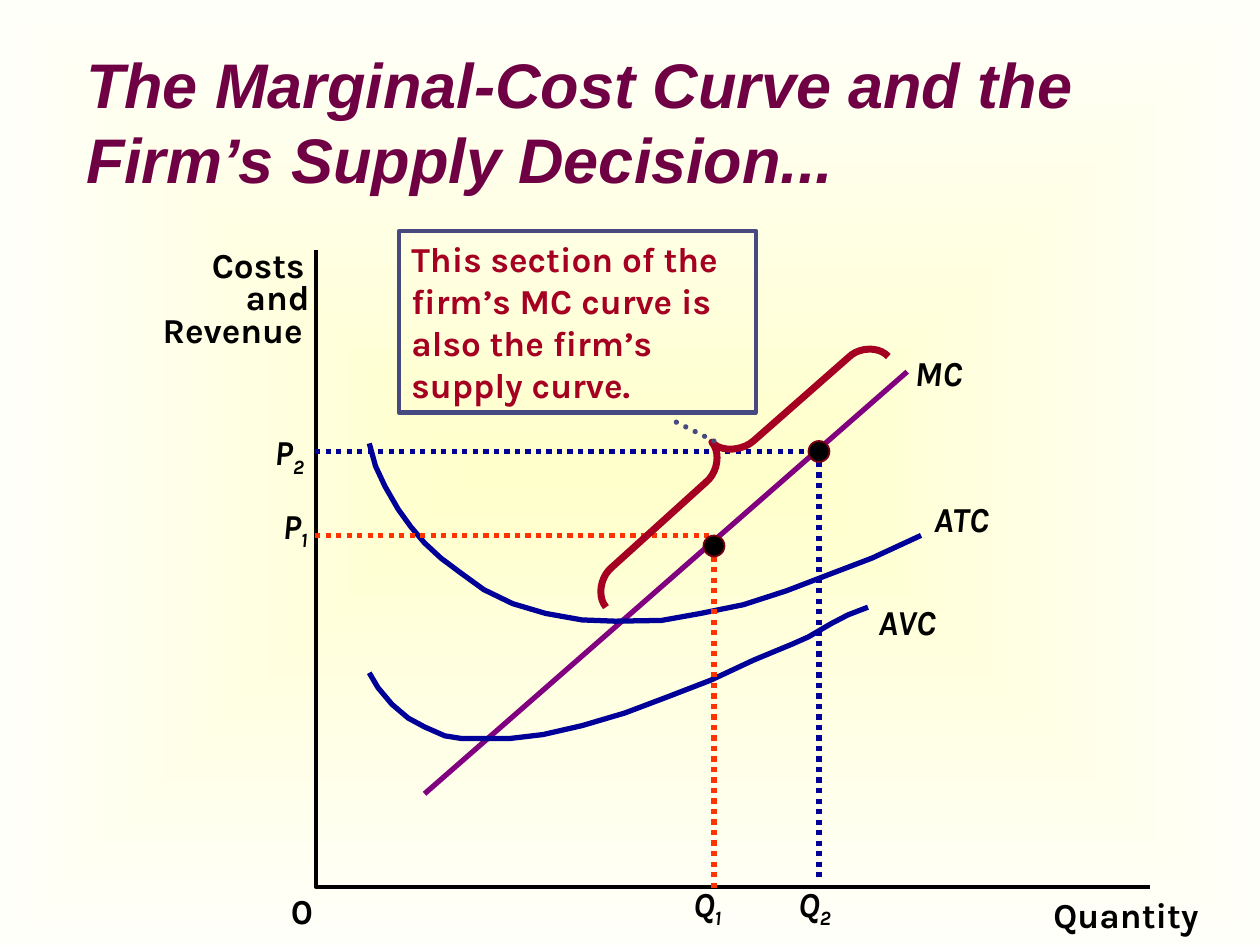
from lxml import etree
from pptx import Presentation
from pptx.dml.color import RGBColor
from pptx.enum.dml import MSO_LINE
from pptx.enum.shapes import MSO_CONNECTOR, MSO_SHAPE
from pptx.enum.text import MSO_ANCHOR, MSO_AUTO_SIZE, PP_ALIGN
from pptx.oxml.ns import qn
from pptx.util import Pt

STRAIGHT = MSO_CONNECTOR.STRAIGHT
OVAL, RECTANGLE = MSO_SHAPE.OVAL, MSO_SHAPE.RECTANGLE
LEFT, RIGHT = PP_ALIGN.LEFT, PP_ALIGN.RIGHT
MIDDLE, TOP = MSO_ANCHOR.MIDDLE, MSO_ANCHOR.TOP
NO_FIT, GROW = MSO_AUTO_SIZE.NONE, MSO_AUTO_SIZE.SHAPE_TO_FIT_TEXT
DOTTED = MSO_LINE.ROUND_DOT

BLACK = RGBColor(0x00, 0x00, 0x00)
PLUM = RGBColor(0x6E, 0x00, 0x43)
PURPLE = RGBColor(0x80, 0x00, 0x80)
NAVY = RGBColor(0x00, 0x00, 0x99)
ORANGE = RGBColor(0xFF, 0x33, 0x00)
CRIMSON = RGBColor(0xA5, 0x00, 0x21)
MAROON = RGBColor(0x79, 0x00, 0x15)
SLATE = RGBColor(0x47, 0x4A, 0x81)
YELLOW = RGBColor(0xFF, 0xFF, 0xCC)
IVORY = RGBColor(0xFF, 0xFF, 0xFA)

ATC_POINTS = [
    (211, 253.4), (214.6, 266.4), (220, 278), (227.5, 291), (234.7, 301),
    (242.6, 310.3), (252, 319), (263.5, 327.6), (276.5, 337), (293, 345),
    (311.8, 350.6), (332.6, 354.3), (351.4, 355), (378, 354.6),
    (400.3, 350.6), (424.8, 345.6), (449.3, 337.7), (473.8, 328.3),
    (498.2, 319), (526.3, 306)]
AVC_POINTS = [
    (211, 384.5), (216, 393), (224, 402.5), (233.3, 410.4), (242.6, 415.4),
    (254.2, 420.5), (263.5, 422), (291.6, 422), (310.3, 419.8),
    (332.6, 414.7), (357, 407.5), (381.6, 398.2), (406, 388.8),
    (430.6, 377.3), (453, 368), (462, 364), (475, 356.4), (484.6, 351.4),
    (496, 347)]
AXES = [(180.7, 142.6), (180.7, 506.9), (657.4, 506.9)]
BRACE_BENDS = [
    [(507.6, 203.8), (502.6, 198), (491, 198), (484.6, 204.5)],
    [(430.6, 252), (424, 257.8), (411.8, 258.5), (406.8, 252.7)],
    [(406.8, 252.7), (411.8, 258.5), (410.4, 270), (403.2, 275.8)],
    [(349.9, 324), (342.7, 329.8), (341.3, 341.3), (346.3, 347)]]

# text, left, top, width, italic
LABELS = [
    ("Quantity", 602, 510.5, 89, False), ("0", 166.3, 508.3, 11.5, False),
    ("Costs", 121, 139, 54, False), ("and", 140.4, 157.7, 38, False),
    ("Revenue", 92.9, 176.4, 86.4, False), ("MC", 522.7, 200.9, 30, True),
    ("ATC", 533.5, 284.4, 35, True), ("AVC", 501.8, 343.4, 37, True)]
# letter, subscript, left, top, width, alignment
INDEXED_LABELS = [
    ("Q", "1", 396, 504, 44.6, LEFT), ("Q", "2", 456, 504, 44.6, LEFT),
    ("P", "1", 151.9, 288, 23.8, RIGHT), ("P", "2", 131.8, 246.2, 41.8, RIGHT)]
# quantity, price, foot of the vertical guide, centre of the dot, colour
GUIDES = [(408, 306, 510, 312, ORANGE), (468, 258, 504, 258, NAVY)]


def set_format(target, values):
    """Set each attribute named in a dict of format values."""
    for name, value in values.items():
        setattr(target, name, value)


def bend(points, steps=10):
    """Return points along a cubic curve with four control points."""
    weights = [((1 - t) ** 3, 3 * t * (1 - t) ** 2, 3 * t * t * (1 - t), t ** 3)
               for t in (step / steps for step in range(steps + 1))]
    return [tuple(sum(w * point[axis] for w, point in zip(row, points))
                  for axis in (0, 1)) for row in weights]


class CostSlide:
    """Holds the style and the current slide."""

    label_font = {"name": "Karla", "size": Pt(20), "bold": True}
    title_font = {"name": "Arial", "size": Pt(36), "bold": True, "italic": True}

    def __init__(self, presentation):
        """Add a title-only slide."""
        self.slide = presentation.slides.add_slide(presentation.slide_layouts[5])
        self.shapes = self.slide.shapes

    def background(self, inner, outer):
        """Fill the background with a gradient spreading from the centre."""
        fill = self.slide.background.fill
        fill.gradient()
        for stop, color, position in zip(fill.gradient_stops, (inner, outer), (0, 1)):
            stop.color.rgb = color
            stop.position = position
        gradient = self.slide.element.find(".//" + qn("a:gradFill"))
        linear = gradient.find(qn("a:lin"))
        if linear is not None:
            gradient.remove(linear)
        spread = etree.SubElement(gradient, qn("a:path"), {"path": "rect"})
        etree.SubElement(spread, qn("a:fillToRect"),
                         dict.fromkeys("ltrb", "50000"))

    def put_text(self, shape, text, font, color, italic=False, subscript="",
                 alignment=LEFT, margins=(0, 0), **frame_format):
        """Put one paragraph, with an optional subscript, into a shape."""
        frame = shape.text_frame
        across, down = (Pt(margin) for margin in margins)
        set_format(frame, {"margin_left": across, "margin_right": across,
                           "margin_top": down, "margin_bottom": down,
                           "vertical_anchor": TOP, **frame_format})
        paragraph = frame.paragraphs[0]
        paragraph.alignment = alignment
        for part in filter(None, (text, subscript)):
            run = paragraph.add_run()
            run.text = part
            set_format(run.font, {"italic": italic, **font})
            run.font.color.rgb = color
        if subscript:
            run.font._element.set("baseline", "-25000")

    def title(self, text, left, top, width, height):
        """Place and fill the title placeholder."""
        title = self.shapes.title
        set_format(title, {"left": Pt(left), "top": Pt(top),
                           "width": Pt(width), "height": Pt(height)})
        self.put_text(title, text, self.title_font, PLUM, margins=(7.2, 3.6),
                      vertical_anchor=MIDDLE, word_wrap=True, auto_size=NO_FIT)

    def label(self, text, left, top, width, height=24, wrap=False, **style):
        """Add a text box in the label style."""
        box = self.shapes.add_textbox(Pt(left), Pt(top), Pt(width), Pt(height))
        self.put_text(box, text, self.label_font, BLACK, word_wrap=wrap,
                      auto_size=GROW, **style)

    def outline(self, shape, color, width):
        """Set the line of a shape."""
        shape.line.color.rgb = color
        shape.line.width = Pt(width)

    def line(self, start, end, color, dash=None, round_cap=False):
        """Add a straight line."""
        line = self.shapes.add_connector(STRAIGHT, *map(Pt, start + end))
        self.outline(line, color, 3)
        if dash:
            line.line.dash_style = dash
        properties = line._element.spPr
        if round_cap:
            properties.find(qn("a:ln")).set("cap", "rnd")
        etree.SubElement(properties, qn("a:effectLst"))

    def curve(self, points, color, width):
        """Add an open outline through the points."""
        first, *others = [(Pt(x), Pt(y)) for x, y in points]
        builder = self.shapes.build_freeform(*first)
        builder.add_line_segments(others, close=False)
        shape = builder.convert_to_shape()
        shape.shadow.inherit = False
        shape.fill.background()
        self.outline(shape, color, width)

    def dot(self, x, y, size=12):
        """Add a dot centred on a point."""
        dot = self.shapes.add_shape(OVAL, Pt(x - size / 2), Pt(y - size / 2),
                                    Pt(size), Pt(size))
        dot.shadow.inherit = False
        dot.fill.solid()
        dot.fill.fore_color.rgb = BLACK
        self.outline(dot, MAROON, 1)

    def callout(self, text, left, top, width, height):
        """Add a framed remark."""
        box = self.shapes.add_shape(RECTANGLE, Pt(left), Pt(top),
                                    Pt(width), Pt(height))
        box.shadow.inherit = False
        box.fill.background()
        self.outline(box, SLATE, 2.5)
        self.put_text(box, text, self.label_font, CRIMSON, margins=(7.2, 3.6),
                      word_wrap=True, auto_size=GROW)


def main():
    """Build and save the slide."""
    presentation = Presentation()
    set_format(presentation, {"slide_width": Pt(720), "slide_height": Pt(540)})
    page = CostSlide(presentation)
    page.background(YELLOW, IVORY)
    page.line((242.6, 453.6), (518.4, 212.4), PURPLE)
    page.title("The Marginal-Cost Curve and the Firm\u2019s Supply Decision...",
               42, 24, 612, 90)
    for text, left, top, width, italic in LABELS:
        page.label(text, left, top, width, italic=italic)
    page.curve(ATC_POINTS, NAVY, 3)
    page.curve(AVC_POINTS, NAVY, 3)
    page.curve(AXES, BLACK, 2.25)
    for letter, subscript, left, top, width, alignment in INDEXED_LABELS:
        page.label(letter, left, top, width, 27, wrap=True, italic=True,
                   subscript=subscript, alignment=alignment)
    for quantity, price, foot, center, color in GUIDES:
        page.line((180, price), (quantity, price), color, DOTTED)
        page.line((quantity, price), (quantity, foot), color, DOTTED)
        page.dot(quantity, center)
    page.callout("This section of the firm\u2019s MC curve is also the "
                 "firm\u2019s supply curve.", 228, 132, 204, 103.7)
    page.curve([point for part in BRACE_BENDS for point in bend(part)], CRIMSON, 4)
    page.line((408, 252), (384, 240), SLATE, DOTTED, round_cap=True)
    presentation.save("out.pptx")


main()
